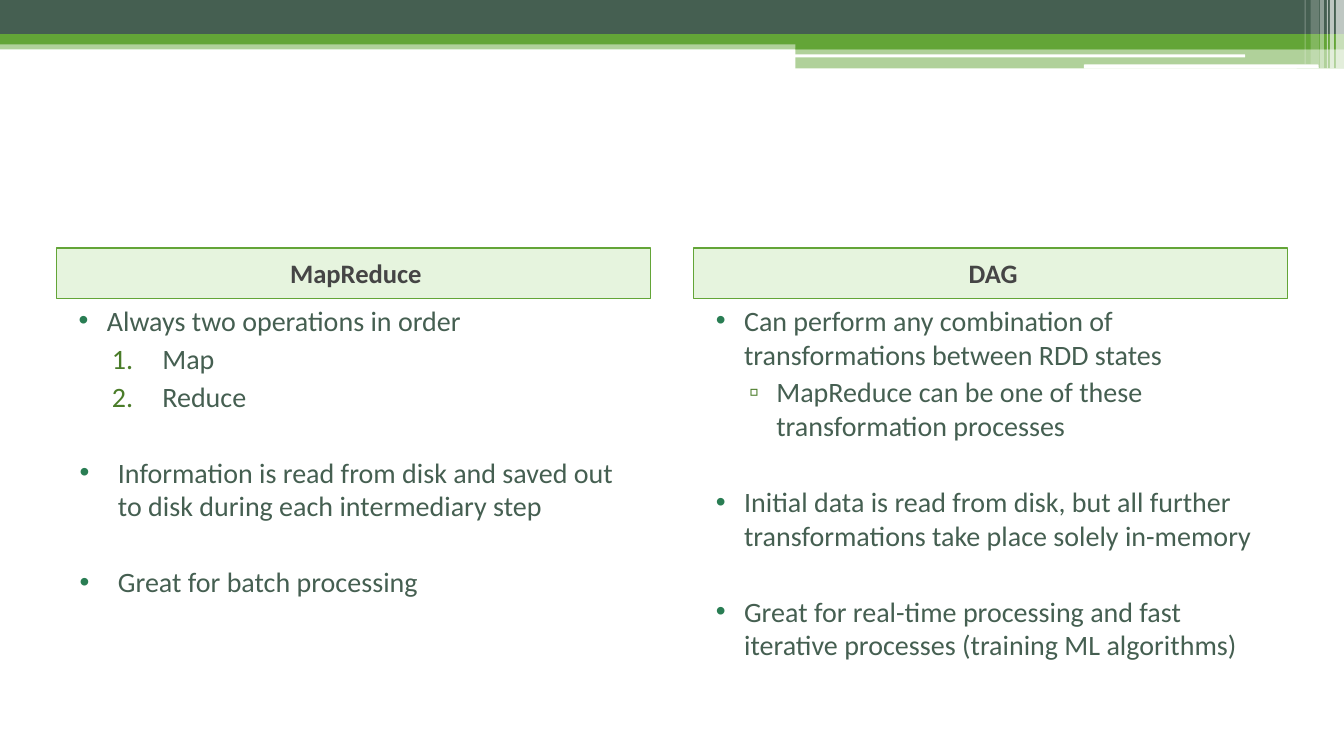
"""Build a slide comparing MapReduce with DAG processing."""
import pptx
import pptx.dml.color
import pptx.enum.shapes
import pptx.enum.text
import pptx.oxml.ns
import pptx.oxml.xmlchemy
import pptx.util
from pptx.util import Inches

COLORS = {
    "dark": "455F51", "green": "63A537", "white": "FFFFFF", "header": "9FD47D",
    "heading": "454545", "bullet": "297D53", "sub_bullet": "4A7C29",
}
FONT = "Calibri"

BANDS = [
    ("rect", 0, 0.4, 13.33, 0.09, "green", 50),
    ("rect", 0, 0, 13.33, 0.34, "dark", 100),
    ("rect", 0, 0.34, 13.33, 0.1, "green", 100),
    ("rect", 7.89, 0.39, 5.44, 0.1, "green", 100),
    ("rect", 7.89, 0.48, 5.44, 0.2, "green", 50),
    ("round", 7.88, 0.54, 4.47, 0.03, "white", 100),
    ("round", 10.75, 0.64, 2.33, 0.04, "white", 100),
    ("rect", 13.25, 0, 0.08, 0.68, "white", 65),
    ("rect", 13.19, 0, 0.04, 0.68, "white", 65),
    ("rect", 13.16, 0, 0.01, 0.68, "white", 60),
    ("rect", 13.09, 0, 0.04, 0.68, "white", 40),
    ("rect", 13, 0, 0.08, 0.64, "white", 20),
    ("rect", 12.94, 0, 0.01, 0.64, "white", 30),
]

STYLES = {
    "point": (0, 0.4, -0.28, "•", "bullet"),
    "wide point": (0, 0.51, -0.38, "•", "bullet"),
    "step": (1, 0.95, -0.5, "number", "sub_bullet"),
    "detail": (1, 0.72, -0.27, "▫", "sub_bullet"),
}
TIGHT, LOOSE = 3, 30.4

COLUMNS = [
    ("MapReduce", [
        ("point", TIGHT, "Always two operations in order"),
        ("step", TIGHT, "Map"),
        ("step", TIGHT, "Reduce"),
        ("wide point", LOOSE, "Information is read from disk and saved out to disk "
                              "during each intermediary step"),
        ("wide point", LOOSE, "Great for batch processing"),
    ]),
    ("DAG", [
        ("point", TIGHT, "Can perform any combination of transformations between RDD states"),
        ("detail", TIGHT, "MapReduce can be one of these transformation processes"),
        ("point", LOOSE, "Initial data is read from disk, but all further "
                         "transformations take place solely in-memory"),
        ("point", LOOSE, "Great for real-time processing and fast iterative "
                         "processes (training ML algorithms)"),
    ]),
]
COLUMN_LEFT, COLUMN_STEP, COLUMN_WIDTH = 0.56, 6.32, 5.89
HEADER_TOP, HEADER_HEIGHT, LIST_HEIGHT = 2.46, 0.5, 4.25


def rgb(name):
    return pptx.dml.color.RGBColor.from_string(COLORS[name])


def add_child(parent, tag, **attributes):
    child = pptx.oxml.xmlchemy.OxmlElement(tag)
    for key, value in attributes.items():
        child.set(key, str(value))
    parent.append(child)
    return child


def fill_shape(shape, color, opacity=100):
    shape.fill.solid()
    shape.fill.fore_color.rgb = rgb(color)
    if opacity < 100:
        tint = shape.element.spPr.find(".//" + pptx.oxml.ns.qn("a:srgbClr"))
        add_child(tint, "a:alpha", val=opacity * 1000)


def place(shape, left, top, width, height):
    shape.left, shape.top = Inches(left), Inches(top)
    shape.width, shape.height = Inches(width), Inches(height)


def write(paragraph, text, size, color, bold, indent, hanging, before):
    run = paragraph.add_run()
    run.text = text
    run.font.name, run.font.size, run.font.bold = FONT, pptx.util.Pt(size), bold
    run.font.color.rgb = rgb(color)
    paragraph.space_before = pptx.util.Pt(before)
    paragraph.space_after = pptx.util.Pt(0)
    paragraph.line_spacing = 1.0
    properties = paragraph._p.get_or_add_pPr()
    properties.set("marL", str(Inches(indent)))
    properties.set("indent", str(Inches(hanging)))
    return properties


def add_band(slide, outline, left, top, width, height, color, opacity):
    kinds = pptx.enum.shapes.MSO_SHAPE
    kind = kinds.ROUNDED_RECTANGLE if outline == "round" else kinds.RECTANGLE
    band = slide.shapes.add_shape(kind, Inches(left), Inches(top), Inches(width), Inches(height))
    band.shadow.inherit = False
    band.line.fill.background()
    fill_shape(band, color, opacity)


def fill_header(header, text):
    fill_shape(header, "header", 25)
    header.line.color.rgb = rgb("green")
    header.line.width = pptx.util.Pt(1)
    frame = header.text_frame
    frame.vertical_anchor = pptx.enum.text.MSO_ANCHOR.MIDDLE
    frame.auto_size = pptx.enum.text.MSO_AUTO_SIZE.NONE
    paragraph = frame.paragraphs[0]
    paragraph.alignment = pptx.enum.text.PP_ALIGN.CENTER
    write(paragraph, text, 19, "heading", True, 0.05, 0, TIGHT)


def fill_list(body, items):
    frame = body.text_frame
    frame.auto_size = pptx.enum.text.MSO_AUTO_SIZE.NONE
    for index, (style, before, text) in enumerate(items):
        level, indent, hanging, mark, mark_color = STYLES[style]
        paragraph = frame.add_paragraph() if index else frame.paragraphs[0]
        paragraph.level = level
        properties = write(paragraph, text, 20, "dark", False, indent, hanging, before)
        add_child(add_child(properties, "a:buClr"), "a:srgbClr", val=COLORS[mark_color])
        if mark == "number":
            add_child(properties, "a:buFont", typeface=FONT)
            add_child(properties, "a:buAutoNum", type="arabicPeriod")
        else:
            add_child(properties, "a:buChar", char=mark)


def main():
    deck = pptx.Presentation()
    deck.slide_width, deck.slide_height = Inches(13.33), Inches(7.5)
    slide = deck.slides.add_slide(deck.slide_layouts.get_by_name("Comparison"))
    title = slide.shapes.title
    title.element.getparent().remove(title.element)
    for band in BANDS:
        add_band(slide, *band)
    for index, (heading, items) in enumerate(COLUMNS):
        header = slide.placeholders[1 + 2 * index]
        body = slide.placeholders[2 + 2 * index]
        left = COLUMN_LEFT + index * COLUMN_STEP
        place(header, left, HEADER_TOP, COLUMN_WIDTH, HEADER_HEIGHT)
        place(body, left, HEADER_TOP + HEADER_HEIGHT, COLUMN_WIDTH, LIST_HEIGHT)
        fill_header(header, heading)
        fill_list(body, items)
    deck.save("out.pptx")


if __name__ == "__main__":
    main()
